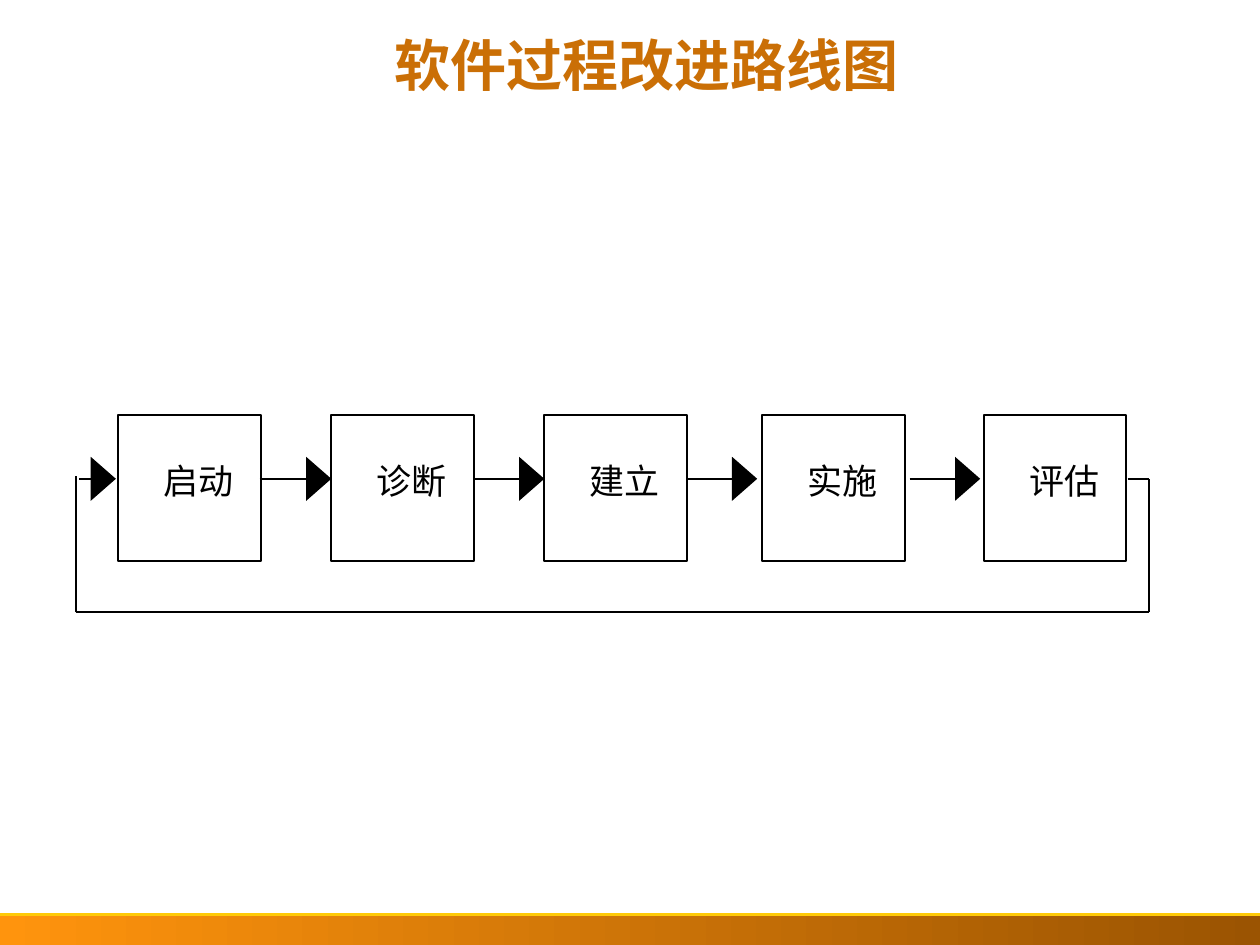
from lxml.etree import SubElement
from pptx import Presentation
from pptx.dml.color import RGBColor
from pptx.enum.shapes import MSO_CONNECTOR, MSO_SHAPE
from pptx.enum.text import MSO_ANCHOR, PP_ALIGN
from pptx.oxml.ns import qn
from pptx.util import Inches, Pt

BLACK = RGBColor(0x00, 0x00, 0x00)
WHITE = RGBColor(0xFF, 0xFF, 0xFF)
TITLE_ORANGE = RGBColor(0xCA, 0x6F, 0x06)
BAND_ORANGE = RGBColor(0xFF, 0x94, 0x0D)
BAND_BROWN = RGBColor(0x9B, 0x54, 0x02)
RULE_YELLOW = RGBColor(0xFF, 0xCA, 0x08)

CJK_FONT = "Noto Sans CJK SC"
TITLE = "软件过程改进路线图"
TITLE_FORMAT = {"name": "Montserrat", "size": Pt(32), "bold": True}
STAGE_FORMAT = {"name": CJK_FONT, "size": Pt(20), "bold": False}

# Stage name and left edge of its box
STAGES = [("启动", 0.94), ("诊断", 2.63), ("建立", 4.32), ("实施", 6.05), ("评估", 7.81)]
BOX_TOP, BOX_WIDTH, BOX_HEIGHT = 3.29, 1.13, 1.16
LABEL_INDENT, LABEL_TOP, LABEL_WIDTH, LABEL_HEIGHT = 0.34, 3.65, 0.6, 0.58

FLOW_Y = 3.8
HEAD_LENGTH, HEAD_HALF = 0.2, 0.175
# Start of each arrow's shaft and its tip; the first one closes the loop
ARROWS = [(0.63, 0.92), (2.06, 2.63), (3.76, 4.32), (5.45, 6.01), (7.22, 7.78)]

LOOP_LEFT, LOOP_RIGHT, LOOP_BOTTOM = 0.6, 9.12, 4.86
RETURN_LOOP = [(8.95, FLOW_Y), (LOOP_RIGHT, FLOW_Y), (LOOP_RIGHT, LOOP_BOTTOM),
               (LOOP_LEFT, LOOP_BOTTOM), (LOOP_LEFT, 3.78)]

BAND_TOP, BAND_HEIGHT = 7.26, 0.25


def add_line(slide, start, end, color=BLACK, width=1.13):
    line = slide.shapes.add_connector(
        MSO_CONNECTOR.STRAIGHT, *(Inches(v) for v in (*start, *end)))
    line.line.color.rgb = color
    line.line.width = Pt(width)
    SubElement(line._element.spPr, qn("a:effectLst"))


def add_text(slide, text, area, font_format, color, margin, spacing=1.0):
    frame = slide.shapes.add_textbox(*(Inches(v) for v in area)).text_frame
    frame.word_wrap = True
    frame.vertical_anchor = MSO_ANCHOR.TOP
    for side in ("left", "top", "right", "bottom"):
        setattr(frame, f"margin_{side}", Inches(margin))
    paragraph = frame.paragraphs[0]
    paragraph.alignment = PP_ALIGN.CENTER
    paragraph.line_spacing = spacing
    run = paragraph.add_run()
    run.text = text
    for attribute, value in font_format.items():
        setattr(run.font, attribute, value)
    run.font.color.rgb = color
    SubElement(run._r.get_or_add_rPr(), qn("a:ea"), typeface=CJK_FONT)


def add_stage(slide, name, left):
    box = slide.shapes.add_shape(
        MSO_SHAPE.RECTANGLE,
        *(Inches(v) for v in (left, BOX_TOP, BOX_WIDTH, BOX_HEIGHT)))
    box.shadow.inherit = False
    box.fill.solid()
    box.fill.fore_color.rgb = WHITE
    box.line.color.rgb = BLACK
    box.line.width = Pt(1.13)
    area = (left + LABEL_INDENT, LABEL_TOP, LABEL_WIDTH, LABEL_HEIGHT)
    add_text(slide, name, area, STAGE_FORMAT, BLACK, margin=0)


def add_arrow(slide, start, tip):
    """Draw a shaft that ends in a large solid triangle."""
    base = tip - HEAD_LENGTH
    add_line(slide, (start, FLOW_Y), (base, FLOW_Y))
    outline = slide.shapes.build_freeform(
        Inches(base), Inches(FLOW_Y + HEAD_HALF))
    outline.add_line_segments(
        [(Inches(tip), Inches(FLOW_Y)), (Inches(base), Inches(FLOW_Y - HEAD_HALF))],
        close=True)
    head = outline.convert_to_shape()
    head.shadow.inherit = False
    head.fill.solid()
    head.fill.fore_color.rgb = BLACK
    head.line.fill.background()


def add_footer_band(slide):
    band = slide.shapes.add_shape(
        MSO_SHAPE.RECTANGLE, 0, Inches(BAND_TOP), Inches(10), Inches(BAND_HEIGHT))
    band.shadow.inherit = False
    band.line.fill.background()
    band.fill.gradient()
    band.fill.gradient_angle = 0
    for stop, color in zip(band.fill.gradient_stops, (BAND_ORANGE, BAND_BROWN)):
        stop.color.rgb = color
    add_line(slide, (0, BAND_TOP), (10, BAND_TOP), RULE_YELLOW, 1.5)


def main():
    deck = Presentation()
    deck.slide_width, deck.slide_height = Inches(10), Inches(7.5)
    slide = deck.slides.add_slide(deck.slide_layouts[6])

    add_footer_band(slide)
    add_text(slide, TITLE, (0.67, 0.25, 8.92, 1.08), TITLE_FORMAT, TITLE_ORANGE,
             margin=0.05, spacing=0.9)
    for name, left in STAGES:
        add_stage(slide, name, left)
    for start, tip in ARROWS:
        add_arrow(slide, start, tip)
    for start, end in zip(RETURN_LOOP, RETURN_LOOP[1:]):
        add_line(slide, start, end)

    deck.save("out.pptx")


if __name__ == "__main__":
    main()
